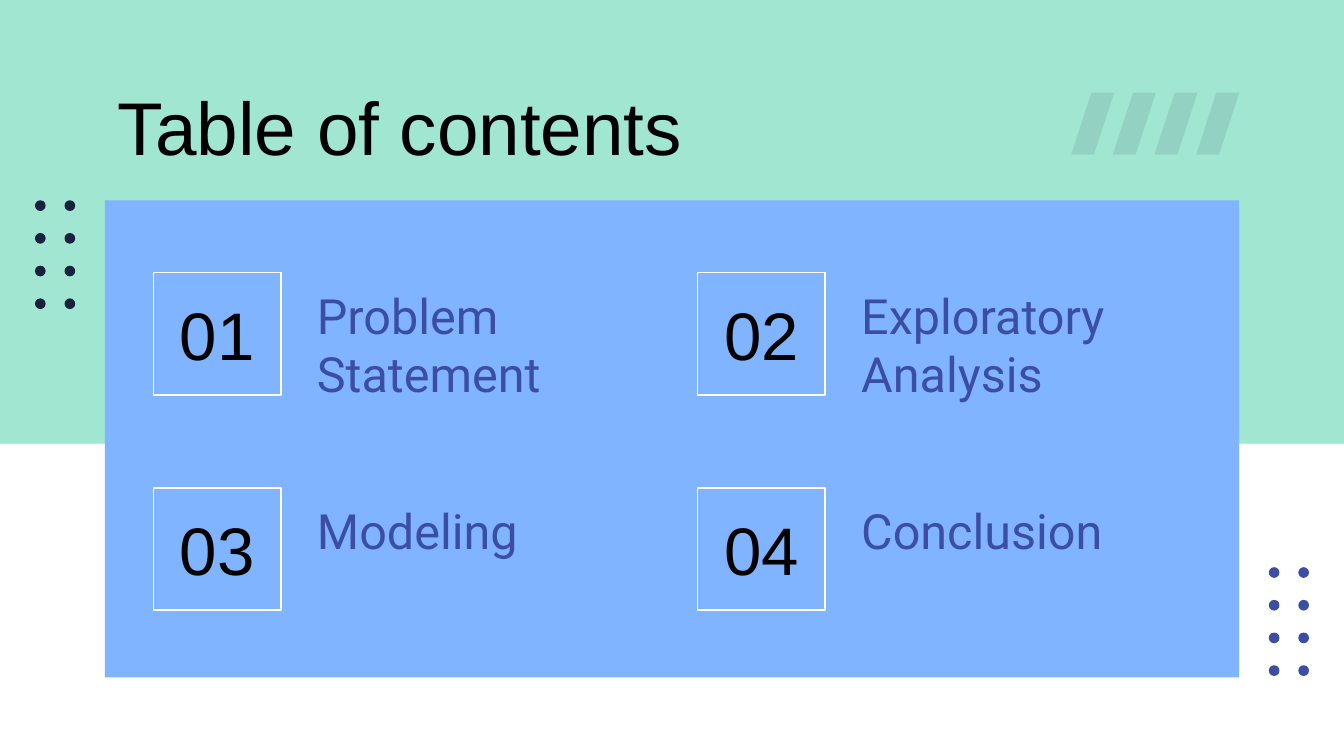
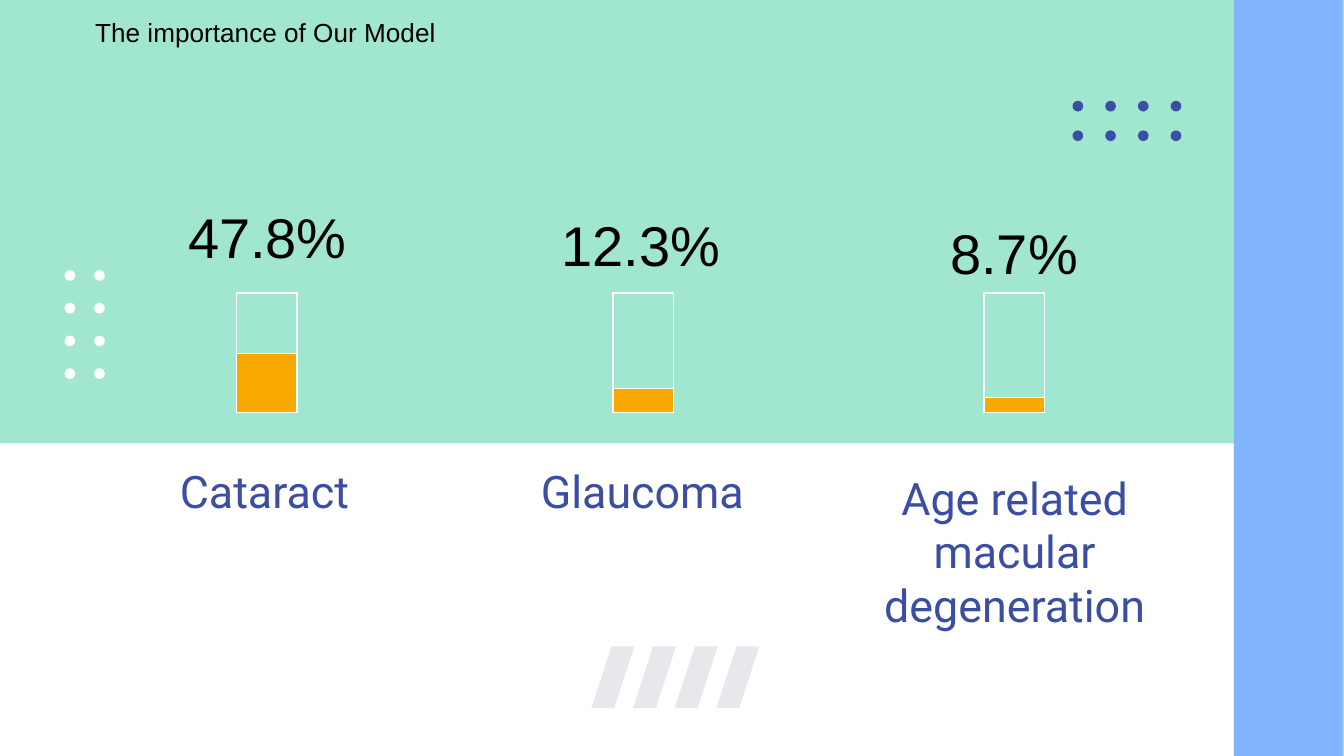
from collections import namedtuple

from lxml.etree import SubElement
from pptx import Presentation
from pptx.dml.color import RGBColor
from pptx.enum.shapes import MSO_SHAPE
from pptx.enum.text import MSO_ANCHOR, PP_ALIGN
from pptx.oxml.ns import qn
from pptx.util import Inches, Pt

Theme = namedtuple(
    "Theme",
    "mint blue indigo navy orange white black heading_font body_font "
    "title_size subtitle_size number_size topic_size percent_size condition_size outline",
)
theme = Theme(
    mint="A1E6D1", blue="80B4FF", indigo="3C4EA2", navy="18223F", orange="F9A800",
    white="FFFFFF", black="000000", heading_font="Arial", body_font="Roboto",
    title_size=40, subtitle_size=14, number_size=36, topic_size=26,
    percent_size=30, condition_size=24, outline=0.74,
)


def paint(shape, fill=None, line=None, opacity=None):
    """Give a shape a flat fill, an optional outline and an optional opacity in percent."""
    shape.shadow.inherit = False
    if fill:
        shape.fill.solid()
        shape.fill.fore_color.rgb = RGBColor.from_string(fill)
    else:
        shape.fill.background()
    if line:
        shape.line.color.rgb = RGBColor.from_string(line)
        shape.line.width = Pt(theme.outline)
    else:
        shape.line.fill.background()
    if opacity:
        color = shape.element.spPr.find(qn("a:solidFill")).find(qn("a:srgbClr"))
        SubElement(color, qn("a:alpha"), val=str(opacity * 1000))


def write(shape, text, size, font=theme.heading_font, color=theme.black,
          align=PP_ALIGN.LEFT, anchor=MSO_ANCHOR.TOP):
    """Put one formatted paragraph into a shape or text box."""
    frame = shape.text_frame
    frame.word_wrap = True
    frame.vertical_anchor = anchor
    frame.margin_left = frame.margin_right = Inches(0.1)
    frame.margin_top = frame.margin_bottom = Inches(0.1)
    paragraph = frame.paragraphs[0]
    paragraph.alignment = align
    run = paragraph.add_run()
    run.text = text
    run.font.name = font
    run.font.size = Pt(size)
    run.font.color.rgb = RGBColor.from_string(color)


deck = Presentation()
deck.slide_width = Inches(10)
deck.slide_height = Inches(10 * 9 / 16)
contents = deck.slides.add_slide(deck.slide_layouts[6])
importance = deck.slides.add_slide(deck.slide_layouts[6])

# Mint backgrounds
for slide in (contents, importance):
    slide.background.fill.solid()
    slide.background.fill.fore_color.rgb = RGBColor.from_string(theme.mint)

# Bands and panels
for slide, left, top, width, height, color in [
    (contents, -0.02, 3.3, 10.02, 2.39, theme.white),
    (contents, 0.78, 1.49, 8.44, 3.55, theme.blue),
    (importance, 9.18, 0, 0.81, 5.66, theme.blue),
    (importance, -0.03, 3.3, 9.21, 2.37, theme.white),
]:
    band = slide.shapes.add_shape(
        MSO_SHAPE.RECTANGLE, Inches(left), Inches(top), Inches(width), Inches(height))
    paint(band, fill=color)

# Rows of four slanted stripes
for slide, left, top in [(contents, 7.97, 0.69), (importance, 4.4, 4.81)]:
    for index in range(4):
        x = left + index * 0.31
        outline = slide.shapes.build_freeform(Inches(x + 0.15), Inches(top))
        outline.add_line_segments([
            (Inches(x), Inches(top + 0.46)),
            (Inches(x + 0.17), Inches(top + 0.46)),
            (Inches(x + 0.32), Inches(top)),
        ], close=True)
        paint(outline.convert_to_shape(), fill=theme.navy, opacity=10)

# Dot grids: four dots along the long side, two along the short side
LONG_STEP, SHORT_STEP = 0.73 / 3, 0.22
for slide, left, top, upright, color in [
    (contents, 0.26, 1.49, True, theme.navy),
    (contents, 9.44, 4.22, True, theme.indigo),
    (importance, 0.48, 2.01, True, theme.white),
    (importance, 7.98, 0.75, False, theme.indigo),
]:
    for long_index in range(4):
        for short_index in range(2):
            along, across = long_index * LONG_STEP, short_index * SHORT_STEP
            x, y = (across, along) if upright else (along, across)
            dot = slide.shapes.add_shape(
                MSO_SHAPE.OVAL, Inches(left + x), Inches(top + y), Inches(0.08), Inches(0.08))
            paint(dot, fill=color)

# Titles
for slide, text, left, top, width, size in [
    (contents, "Table of contents", 0.78, 0.5, 8.43, theme.title_size),
    (importance, "The importance of Our Model", 0.61, 0.02, 6.14, theme.subtitle_size),
]:
    title = slide.shapes.add_textbox(Inches(left), Inches(top), Inches(width), Inches(0.67))
    write(title, text, size)

# Numbered topics, two by two
topics = ["Problem Statement", "Exploratory Analysis", "Modeling", "Conclusion "]
for index, text in enumerate(topics):
    row, column = divmod(index, 2)
    left, top = 1.14 + column * 4.05, 2.03 + row * 1.6
    number = contents.shapes.add_shape(
        MSO_SHAPE.RECTANGLE, Inches(left), Inches(top), Inches(0.95), Inches(0.91))
    paint(number, line=theme.white)
    write(number, f"{index + 1:02}", theme.number_size,
          align=PP_ALIGN.CENTER, anchor=MSO_ANCHOR.MIDDLE)
    topic = contents.shapes.add_textbox(
        Inches(left + 1.12), Inches(top), Inches(2.77), Inches(0.91))
    write(topic, text, theme.topic_size, font=theme.body_font, color=theme.indigo)

# Conditions: name, share and a gauge filled from the bottom
GAUGE_TOP, GAUGE_HEIGHT = 2.18, 0.89
for (name, name_left, name_top, share, share_left, share_top, share_width,
     gauge_left, level) in [
    ("Cataract ", 0.78, 3.34, "47.8%", 1.19, 1.34, 1.6, 1.76, 0.44),
    ("Glaucoma", 3.55, 3.34, "12.3%", 3.97, 1.4, 1.6, 4.56, 0.18),
    ("Age related macular degeneration", 6.32, 4.19, "8.7%", 6.82, 1.46, 1.45, 7.32, 0.11),
]:
    condition = importance.shapes.add_textbox(
        Inches(name_left), Inches(name_top), Inches(2.46), Inches(0.61))
    write(condition, name, theme.condition_size, font=theme.body_font, color=theme.indigo,
          align=PP_ALIGN.CENTER, anchor=MSO_ANCHOR.BOTTOM)
    percent = importance.shapes.add_textbox(
        Inches(share_left), Inches(share_top), Inches(share_width), Inches(0.77))
    write(percent, share, theme.percent_size,
          align=PP_ALIGN.CENTER, anchor=MSO_ANCHOR.BOTTOM)
    for height, color in [(GAUGE_HEIGHT, None), (level, theme.orange)]:
        gauge = importance.shapes.add_shape(
            MSO_SHAPE.RECTANGLE, Inches(gauge_left),
            Inches(GAUGE_TOP + GAUGE_HEIGHT - height), Inches(0.45), Inches(height))
        paint(gauge, fill=color, line=theme.white)

deck.save("out.pptx")
